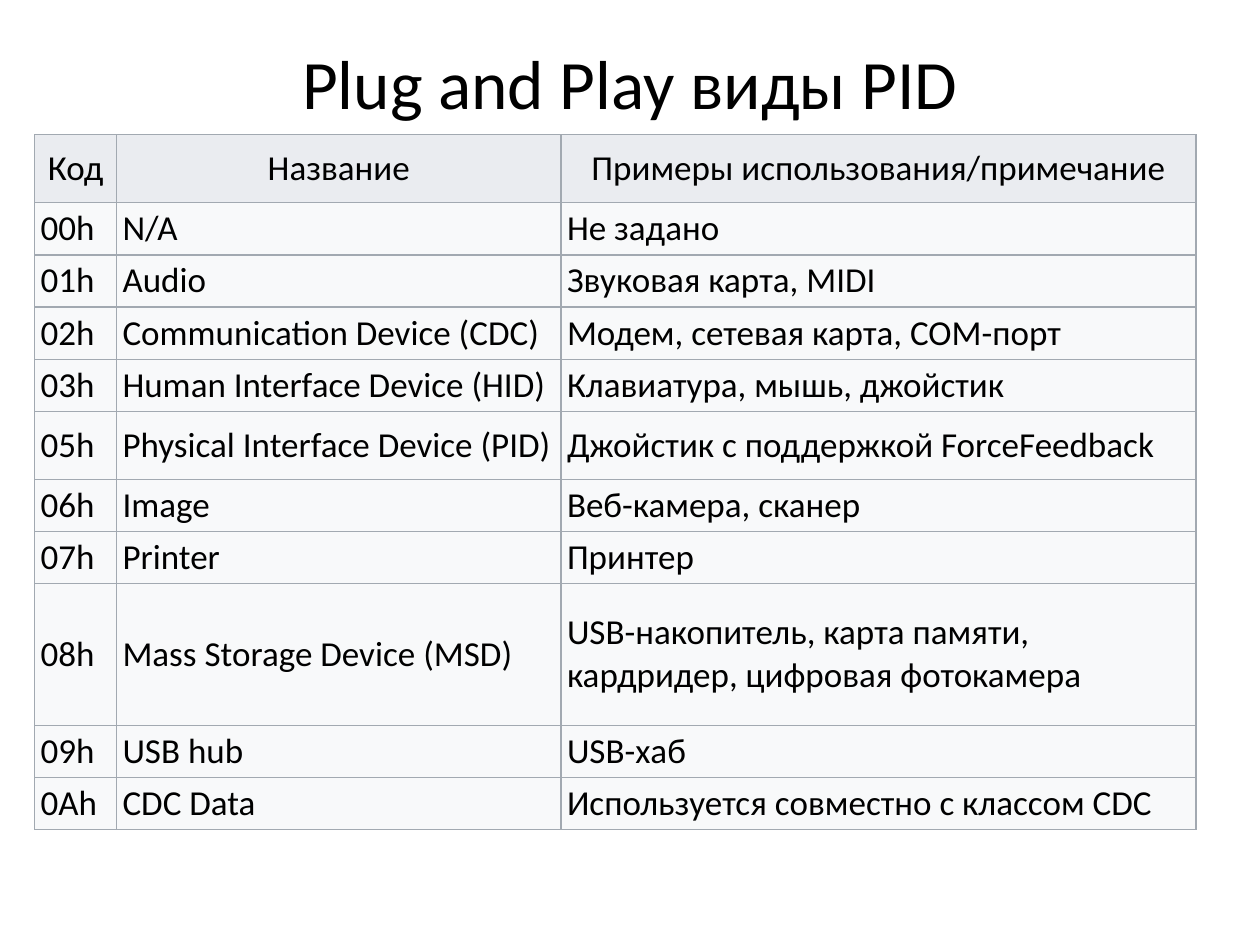
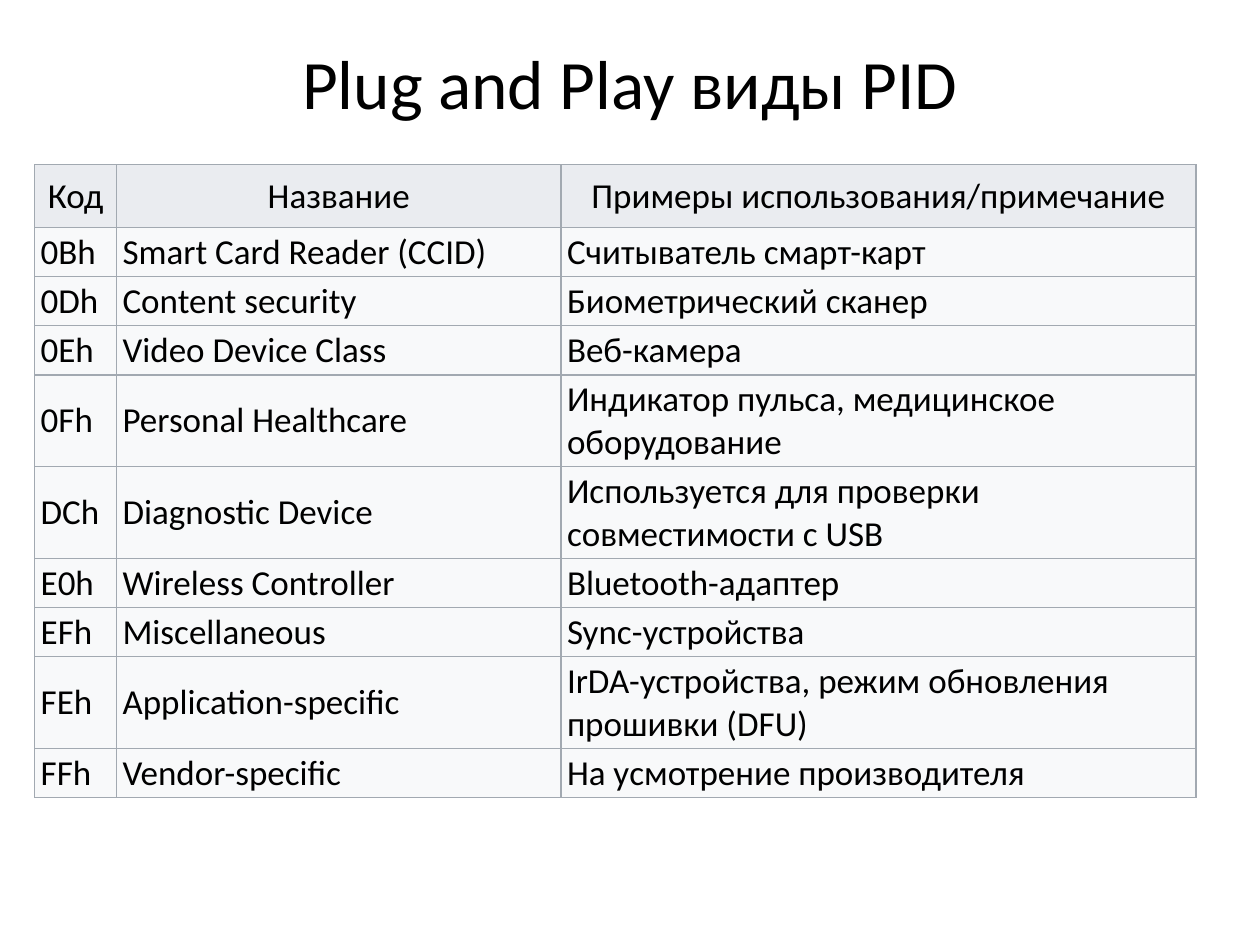
from dataclasses import dataclass

import pptx
import pptx.dml.color
import pptx.enum.text
import pptx.oxml
import pptx.oxml.ns
import pptx.util
from pptx.util import Cm

TITLE = "Plug and Play виды PID"
HEADER = ("Код", "Название", "Примеры использования/примечание")

# Each row: height class, code, name, examples.
SLIDES = [
    {
        "top": 2.72,
        "heights": {"header": 1.37, "line": 1.05, "roomy": 1.37, "tall": 2.86},
        "rows": [
            ("line", "00h", "N/A", "Не задано"),
            ("line", "01h", "Audio", "Звуковая карта, MIDI"),
            ("line", "02h", "Communication Device (CDC)", "Модем, сетевая карта, COM-порт"),
            ("line", "03h", "Human Interface Device (HID)", "Клавиатура, мышь, джойстик"),
            ("roomy", "05h", "Physical Interface Device (PID)",
             "Джойстик с поддержкой ForceFeedback"),
            ("line", "06h", "Image", "Веб-камера, сканер"),
            ("line", "07h", "Printer", "Принтер"),
            ("tall", "08h", "Mass Storage Device (MSD)",
             "USB-накопитель, карта памяти, кардридер, цифровая фотокамера"),
            ("line", "09h", "USB hub", "USB-хаб"),
            ("line", "0Ah", "CDC Data", "Используется совместно с классом CDC"),
        ],
    },
    {
        "top": 3.32,
        "heights": {"header": 1.27, "line": 0.99, "tall": 1.85},
        "rows": [
            ("line", "0Bh", "Smart Card Reader (CCID)", "Считыватель смарт-карт"),
            ("line", "0Dh", "Content security", "Биометрический сканер"),
            ("line", "0Eh", "Video Device Class", "Веб-камера"),
            ("tall", "0Fh", "Personal Healthcare", "Индикатор пульса, медицинское оборудование"),
            ("tall", "DCh", "Diagnostic Device", "Используется для проверки совместимости с USB"),
            ("line", "E0h", "Wireless Controller", "Bluetooth-адаптер"),
            ("line", "EFh", "Miscellaneous", "Sync-устройства"),
            ("tall", "FEh", "Application-specific",
             "IrDA-устройства, режим обновления прошивки (DFU)"),
            ("line", "FFh", "Vendor-specific", "На усмотрение производителя"),
        ],
    },
]


@dataclass(frozen=True)
class Theme:
    font: str = "Calibri"
    title_size: float = 39.6
    cell_size: float = 20
    border_width: float = 0.75
    ink: str = "000000"
    border: str = "A2A9B1"
    header_fill: str = "EAECF0"
    body_fill: str = "F8F9FA"


THEME = Theme()
TITLE_BOX = (1.75, 1.02, 21.9, 1.27)
TABLE_LEFT = 0.7
COLUMN_WIDTHS = (1.65, 8.96, 12.8)
CELL_INSET_X, CELL_INSET_Y = 0.12, 0.06

ALIGN = pptx.enum.text.PP_ALIGN
MIDDLE = pptx.enum.text.MSO_ANCHOR.MIDDLE


def rgb(code):
    return pptx.dml.color.RGBColor.from_string(code)


def write(frame, text, size, align=ALIGN.LEFT, color=THEME.ink):
    para = frame.paragraphs[0]
    para.alignment = align
    span = para.add_run()
    span.text = text
    span.font.name = THEME.font
    span.font.size = pptx.util.Pt(size)
    span.font.color.rgb = rgb(color)


def add_borders(cell):
    properties = cell._tc.get_or_add_tcPr()
    width = pptx.util.Pt(THEME.border_width)
    for side in "LRTB":
        properties.append(pptx.oxml.parse_xml(
            f'<a:ln{side} {pptx.oxml.ns.nsdecls("a")} w="{width}"><a:solidFill>'
            f'<a:srgbClr val="{THEME.border}"/></a:solidFill></a:ln{side}>'))


def format_cell(cell, text, fill, align):
    cell.margin_left = cell.margin_right = Cm(CELL_INSET_X)
    cell.margin_top = cell.margin_bottom = Cm(CELL_INSET_Y)
    cell.vertical_anchor = MIDDLE
    add_borders(cell)
    cell.fill.solid()
    cell.fill.fore_color.rgb = rgb(fill)
    write(cell.text_frame, text, THEME.cell_size, align=align)


def add_title(slide):
    title = slide.shapes.title
    title.left, title.top, title.width, title.height = map(Cm, TITLE_BOX)
    frame = title.text_frame
    frame.auto_size = pptx.enum.text.MSO_AUTO_SIZE.NONE
    frame.vertical_anchor = MIDDLE
    write(frame, TITLE, THEME.title_size, align=ALIGN.CENTER)


def add_class_table(slide, top, heights, rows):
    lines = [("header", *HEADER), *rows]
    row_heights = [heights[kind] for kind, *_ in lines]
    table = slide.shapes.add_table(
        len(lines), len(HEADER), Cm(TABLE_LEFT), Cm(top),
        Cm(sum(COLUMN_WIDTHS)), Cm(sum(row_heights))).table
    for column, width in zip(table.columns, COLUMN_WIDTHS):
        column.width = Cm(width)
    for row, height, (kind, *texts) in zip(table.rows, row_heights, lines):
        row.height = Cm(height)
        is_header = kind == "header"
        fill = THEME.header_fill if is_header else THEME.body_fill
        align = ALIGN.CENTER if is_header else ALIGN.LEFT
        for cell, text in zip(row.cells, texts):
            format_cell(cell, text, fill, align)


def main():
    deck = pptx.Presentation()
    deck.slide_width, deck.slide_height = Cm(25.4), Cm(19.05)
    title_only = deck.slide_layouts.get_by_name("Title Only")
    for content in SLIDES:
        slide = deck.slides.add_slide(title_only)
        add_title(slide)
        add_class_table(slide, **content)
    deck.save("out.pptx")


if __name__ == "__main__":
    main()
